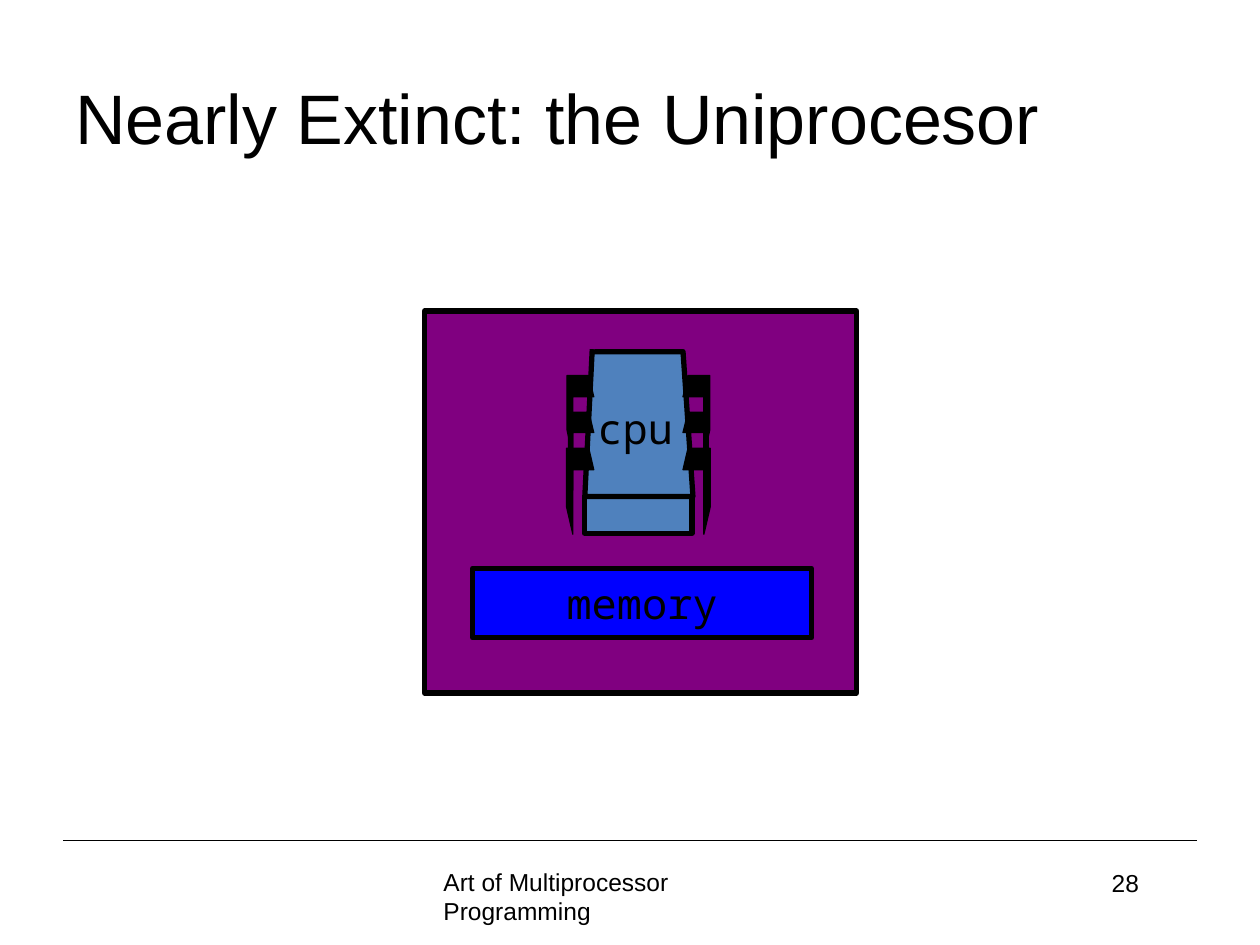
from dataclasses import dataclass

from lxml import etree
from pptx import Presentation
from pptx.dml.color import RGBColor as Rgb
from pptx.enum.shapes import MSO_CONNECTOR as Link, MSO_SHAPE as Preset
from pptx.enum.text import MSO_ANCHOR as Anchor, MSO_AUTO_SIZE as Fit, PP_ALIGN as Align
from pptx.oxml.ns import qn
from pptx.util import Cm, Pt


@dataclass(frozen=True)
class Theme:
    ink: Rgb = Rgb(0x00, 0x00, 0x00)
    board: Rgb = Rgb(0x80, 0x00, 0x80)
    chip: Rgb = Rgb(0x4F, 0x81, 0xBD)
    memory: Rgb = Rgb(0x00, 0x00, 0xFF)
    sans: str = "Arial"
    mono: str = "Noto Sans Mono"
    title_size: int = 40
    label_size: int = 24
    footer_size: int = 14
    outline: float = 3
    pin_outline: float = 0.75
    rule_width: float = 0.5


class SlideBuilder:
    def __init__(self, page, theme):
        self.page = page
        self.theme = theme

    def paint(self, shape, fill, width):
        shape.shadow.inherit = False
        shape.fill.solid()
        shape.fill.fore_color.rgb = fill
        shape.line.color.rgb = self.theme.ink
        shape.line.width = Pt(width)
        return shape

    def label(self, shape, text, font, size, align=Align.LEFT, anchor=Anchor.TOP, wrap=True):
        frame = shape.text_frame
        frame.word_wrap = wrap
        frame.vertical_anchor = anchor
        para = frame.paragraphs[0]
        para.alignment = align
        span = para.add_run()
        span.text = text
        span.font.name = font
        span.font.size = Pt(size)
        span.font.color.rgb = self.theme.ink

    def text(self, bounds, text, font, size, **layout):
        box = self.page.shapes.add_textbox(*map(Cm, bounds))
        self.label(box, text, font, size, **layout)
        return box

    def rectangle(self, bounds, fill, parent=None):
        shapes = (parent or self.page).shapes
        box = shapes.add_shape(Preset.RECTANGLE, *map(Cm, bounds))
        return self.paint(box, fill, self.theme.outline)

    def outline(self, points, fill, width, parent, close=True):
        start, *rest = [(Cm(x), Cm(y)) for x, y in points]
        builder = parent.shapes.build_freeform(*start)
        builder.add_line_segments(rest, close=close)
        return self.paint(builder.convert_to_shape(), fill, width)

    def rule(self, left, right, y):
        line = self.page.shapes.add_connector(Link.STRAIGHT, Cm(left), Cm(y), Cm(right), Cm(y))
        line.line.color.rgb = self.theme.ink
        line.line.width = Pt(self.theme.rule_width)
        etree.SubElement(line._element.spPr, qn("a:effectLst"))

    def chip(self):
        """Draw the processor body and its mirrored pairs of pins."""
        theme = self.theme
        group = self.page.shapes.add_group_shape()
        self.rectangle((11.79, 10.01, 2.16, 0.74), theme.chip, group)
        top = [(11.99, 7.09), (13.77, 7.09), (13.97, 10.01), (11.79, 10.01), (11.94, 7.04)]
        self.outline(top, theme.chip, theme.outline, group, close=False)

        center, inner, root, bend = 12.87, 0.9, 1.0, 1.32
        # Each pin: top, reach from the center, then depths of shoulder, tip and bend
        pins = [
            (9.04, 1.45, 1.17, 1.73, 0.43),
            (8.31, 1.41, 1.07, 1.57, 0.41),
            (7.57, 1.44, 1.09, 1.63, 0.43),
        ]
        for side in (1, -1):
            for y, reach, shoulder, tip, knee in pins:
                profile = [(root, 0), (reach, 0), (reach, shoulder),
                           (bend, tip), (bend, knee), (inner, knee)]
                points = [(center + side * dx, y + dy) for dx, dy in profile]
                self.outline(points, theme.ink, theme.pin_outline, group)


def main():
    deck = Presentation()
    deck.slide_width, deck.slide_height = Cm(25.4), Cm(19.05)
    theme = Theme()
    slide = SlideBuilder(deck.slides.add_slide(deck.slide_layouts[6]), theme)

    slide.rule(1.27, 24.13, 16.94)
    slide.text((8.69, 17.35, 8.05, 1.27), "Art of Multiprocessor Programming",
               theme.sans, theme.footer_size)
    slide.text((17.93, 17.37, 5.28, 1.27), "28", theme.sans, theme.footer_size,
               align=Align.RIGHT)
    slide.rectangle((8.56, 6.27, 8.71, 7.7), theme.board)
    slide.text((1.27, 0.76, 22.86, 3.18), "Nearly Extinct: the Uniprocesor",
               theme.sans, theme.title_size, anchor=Anchor.MIDDLE)
    slide.chip()
    memory = slide.rectangle((9.53, 11.46, 6.83, 1.4), theme.memory)
    slide.label(memory, "memory", theme.mono, theme.label_size,
                align=Align.CENTER, anchor=Anchor.MIDDLE, wrap=False)
    cpu = slide.text((11.79, 7.98, 2.03, 1.3), "cpu", theme.mono, theme.label_size,
                     align=Align.RIGHT, wrap=False)
    cpu.text_frame.auto_size = Fit.SHAPE_TO_FIT_TEXT

    deck.save("out.pptx")


if __name__ == "__main__":
    main()
